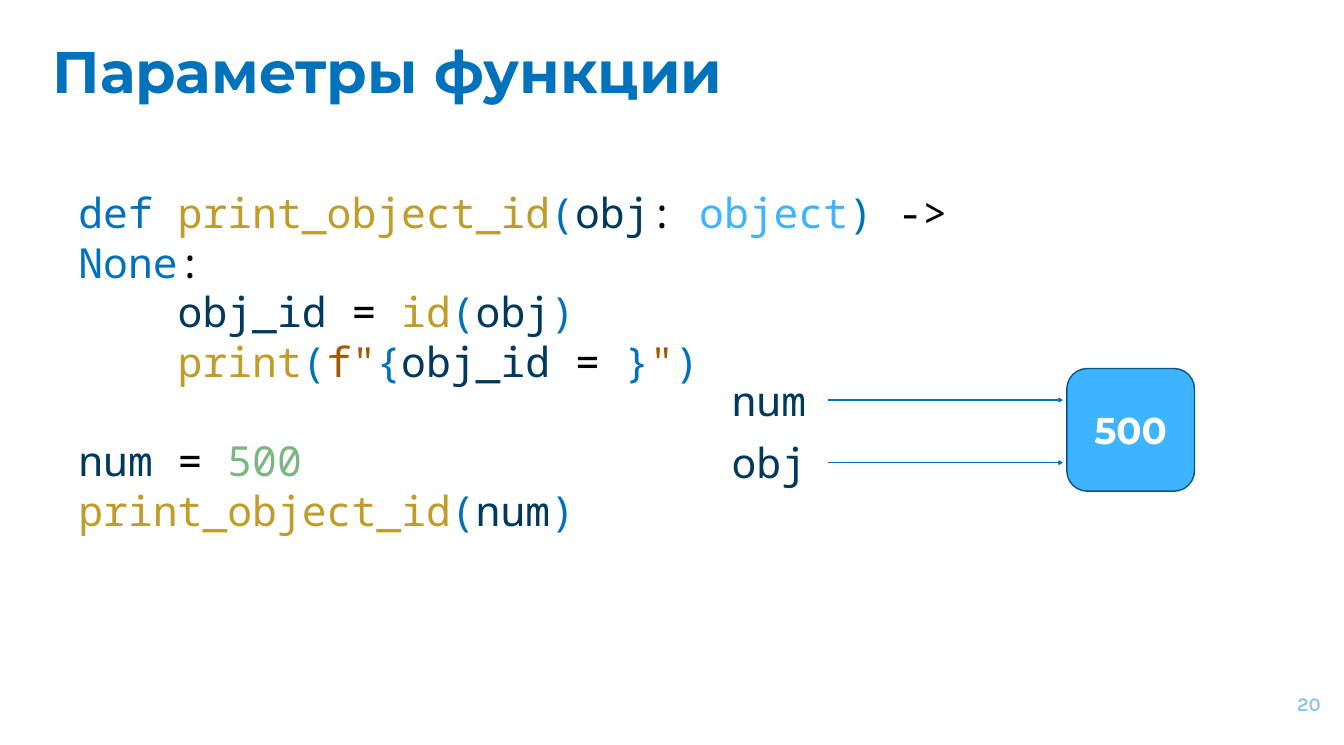
from lxml import etree
from pptx import Presentation
from pptx.dml.color import RGBColor
from pptx.enum.shapes import MSO_CONNECTOR, MSO_SHAPE
from pptx.enum.text import MSO_ANCHOR, MSO_AUTO_SIZE, PP_ALIGN
from pptx.oxml.ns import qn
from pptx.util import Inches, Pt

COLORS = {
    "keyword": "0072BC", "call": "C09D29", "name": "00395E", "plain": "000000",
    "type": "3EB3FF", "string": "A05900", "number": "7CB683",
    "outline": "00568D", "white": "FFFFFF", "page": "92C5EB",
}
MONO, SANS = "Noto Sans Mono", "Montserrat"
CODE_SIZE = 60
BLANK_LINE = Pt(72)

TITLE = "Параметры функции"
PAGE = "20"
VALUE = "500"
LABELS = ["num", "obj"]
# Each group of code lines is separated from the next by one blank line.
CODE_GROUPS = [
    [
        [("def ", "keyword"), ("print_object_id", "call"), ("(", "keyword"),
         ("obj", "name"), (": ", "plain"), ("object", "type"), (")", "keyword"),
         (" -> ", "plain"), ("None", "keyword"), (":", "plain")],
        [("    ", "plain"), ("obj_id", "name"), (" = ", "plain"), ("id", "call"),
         ("(", "keyword"), ("obj", "name"), (")", "keyword")],
        [("    ", "plain"), ("print", "call"), ("(", "keyword"), ('f"', "string"),
         ("{", "keyword"), ("obj_id", "name"), (" = ", "plain"), ("}", "keyword"),
         ('"', "string"), (")", "keyword")],
    ],
    [
        [("num", "name"), (" = ", "plain"), ("500", "number")],
        [("print_object_id", "call"), ("(", "keyword"), ("num", "name"),
         (")", "keyword")],
    ],
]


def rgb(color):
    return RGBColor.from_string(COLORS[color])


def add_run(paragraph, text, font, size, color, bold=False):
    run = paragraph.add_run()
    run.text = text
    run.font.name = font
    run.font.size = Pt(size)
    run.font.bold = bold
    run.font.color.rgb = rgb(color)


def set_frame(shape, anchor, inset=None):
    frame = shape.text_frame
    frame.word_wrap = True
    frame.auto_size = MSO_AUTO_SIZE.NONE
    frame.vertical_anchor = anchor
    if inset is not None:
        frame.margin_left = frame.margin_right = Inches(inset)
        frame.margin_top = frame.margin_bottom = Inches(inset)
    return frame


def add_text_box(slide, left, top, width, height):
    return slide.shapes.add_textbox(
        Inches(left), Inches(top), Inches(width), Inches(height))


def add_title(slide):
    title = slide.shapes.title
    title.left, title.top = Inches(0.96), Inches(0.61)
    title.width, title.height = Inches(23.93), Inches(1.92)
    paragraph = set_frame(title, MSO_ANCHOR.TOP, 0.1).paragraphs[0]
    paragraph.alignment = PP_ALIGN.LEFT
    add_run(paragraph, TITLE, SANS, 85, "keyword", bold=True)


def add_page_number(slide):
    box = add_text_box(slide, 25.07, 13.6, 1.62, 1.15)
    paragraph = set_frame(box, MSO_ANCHOR.MIDDLE, 0.1).paragraphs[0]
    paragraph.alignment = PP_ALIGN.RIGHT
    add_run(paragraph, PAGE, "Karla", 28, "page", bold=True)


def add_code(slide):
    frame = set_frame(add_text_box(slide, 1.48, 3.72, 19.26, 6.35), MSO_ANCHOR.TOP)
    for group_index, group in enumerate(CODE_GROUPS):
        for line_index, line in enumerate(group):
            first = group_index == line_index == 0
            paragraph = frame.paragraphs[0] if first else frame.add_paragraph()
            if group_index and not line_index:
                paragraph.space_before = BLANK_LINE
            for text, color in line:
                add_run(paragraph, text, MONO, CODE_SIZE, color)


def add_value_box(slide):
    box = slide.shapes.add_shape(
        MSO_SHAPE.ROUNDED_RECTANGLE,
        Inches(21.48), Inches(7.42), Inches(2.57), Inches(2.47))
    box.shadow.inherit = False
    box.fill.solid()
    box.fill.fore_color.rgb = rgb("type")
    box.line.color.rgb = rgb("outline")
    box.line.width = Pt(2)
    paragraph = set_frame(box, MSO_ANCHOR.MIDDLE).paragraphs[0]
    paragraph.alignment = PP_ALIGN.CENTER
    add_run(paragraph, VALUE, SANS, 54, "white", bold=True)


def add_label(slide, text, top):
    label = add_text_box(slide, 14.29, top, 2.38, 1.11)
    frame = set_frame(label, MSO_ANCHOR.TOP)
    frame.auto_size = MSO_AUTO_SIZE.SHAPE_TO_FIT_TEXT
    paragraph = frame.paragraphs[0]
    paragraph.alignment = PP_ALIGN.CENTER
    add_run(paragraph, text, MONO, CODE_SIZE, "name")
    return label


def add_arrow(slide, label):
    middle = label.top + label.height // 2
    arrow = slide.shapes.add_connector(
        MSO_CONNECTOR.STRAIGHT,
        label.left + label.width, middle, Inches(21.4), middle)
    arrow.begin_connect(label, 3)
    arrow.line.color.rgb = rgb("keyword")
    arrow.line.width = Pt(2)
    etree.SubElement(arrow.line._get_or_add_ln(), qn("a:tailEnd"), type="arrow")
    etree.SubElement(arrow._element.spPr, qn("a:effectLst"))


def main():
    presentation = Presentation()
    presentation.slide_width = Inches(27.06)
    presentation.slide_height = Inches(15)
    slide = presentation.slides.add_slide(presentation.slide_layouts[5])
    add_title(slide)
    add_page_number(slide)
    add_code(slide)
    add_value_box(slide)
    for index, text in enumerate(LABELS):
        add_arrow(slide, add_label(slide, text, 7.5 + 1.26 * index))
    presentation.save("out.pptx")


if __name__ == "__main__":
    main()
